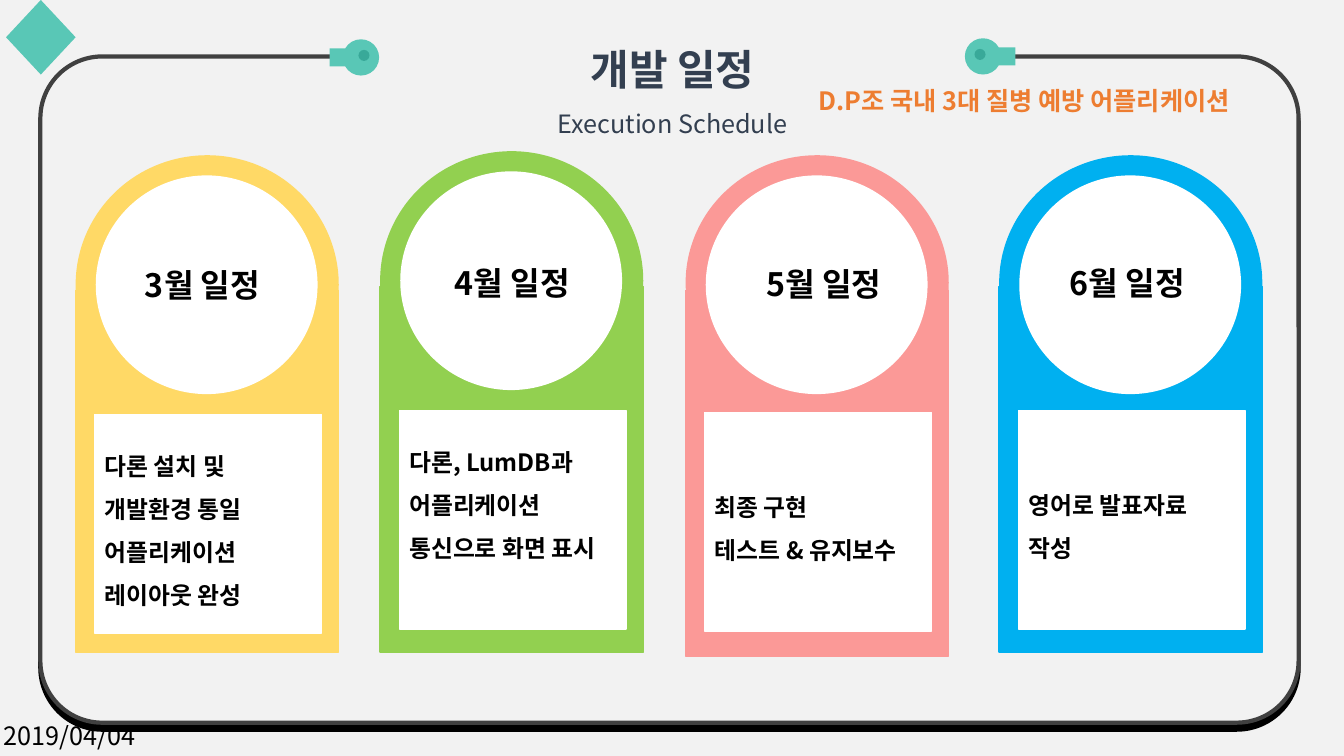
import math
from dataclasses import dataclass

import pptx
import pptx.dml.color
import pptx.enum.shapes
import pptx.enum.text
import pptx.oxml
import pptx.oxml.ns
import pptx.util

Inches = pptx.util.Inches
Pt = pptx.util.Pt
MSO = pptx.enum.shapes.MSO_SHAPE
ALIGN = pptx.enum.text.PP_ALIGN
ANCHOR = pptx.enum.text.MSO_ANCHOR


@dataclass(frozen=True)
class Theme:
    font: str = "Noto Sans CJK KR"
    back: str = "F2F2F2"
    frame: str = "404040"
    title: str = "333F50"
    accent: str = "ED7D31"
    teal: str = "59C7B6"
    teal_dark: str = "39A999"
    white: str = "FFFFFF"
    black: str = "000000"
    title_size: int = 30
    sub_size: int = 18
    month_size: int = 23
    card_size: int = 17


@dataclass(frozen=True)
class Month:
    """One pillar: left edge, tops of its parts, colour and wording."""
    left: float
    arch_top: float
    arch_height: float
    body_top: float
    body_bottom: float
    card_top: float
    label_left: float
    label_top: float
    color: str
    label: str
    tasks: tuple[str, ...]
    pad_bottom: float = 0.05


@dataclass(frozen=True)
class Pin:
    """A round-headed pin; side is 1 when the head points right."""
    tail: float
    x: float
    y: float
    side: int


T = Theme()
MONTHS = (
    Month(0.75, 1.54, 2.57, 2.88, 6.47, 4.11, 0.85, 2.58, "FFD966", "3월 일정",
          ("다론 설치 및 개발환경 통일", "어플리케이션 레이아웃 완성")),
    Month(3.77, 1.5, 2.57, 2.84, 6.47, 4.07, 3.92, 2.56, "92D050", "4월 일정",
          ("다론, LumDB과", "어플리케이션 통신으로 화면 표시"), 0.48),
    Month(6.8, 1.54, 2.53, 2.88, 6.51, 4.09, 7.01, 2.57, "FB9997", "5월 일정",
          ("최종 구현", "테스트 & 유지보수")),
    Month(9.91, 1.54, 2.53, 2.84, 6.47, 4.07, 10.02, 2.56, "00B0F0", "6월 일정",
          ("영어로 발표자료 작성",)),
)
PINS = (Pin(10.07, 9.75, 0.56, -1), Pin(3.27, 3.58, 0.57, 1))


def rgb(color: str):
    return pptx.dml.color.RGBColor.from_string(color)


def paint(sp, fill: str, line: str | None = None, width: float = 1) -> None:
    sp.shadow.inherit = False
    sp.fill.solid()
    sp.fill.fore_color.rgb = rgb(fill)
    if line:
        sp.line.color.rgb = rgb(line)
        sp.line.width = Pt(width)
    else:
        sp.line.fill.background()


def add_shape(shapes, kind, left: float, top: float, width: float, height: float,
              fill: str, line: str | None = None, width_pt: float = 1):
    sp = shapes.add_shape(kind, Inches(left), Inches(top), Inches(width), Inches(height))
    paint(sp, fill, line, width_pt)
    return sp


def write(p, text: str, size: int, color: str, bold: bool = True,
          align=ALIGN.LEFT, spacing: float = 1.0) -> None:
    p.text = text
    p.alignment = align
    p.line_spacing = spacing
    p.font.size = Pt(size)
    p.font.bold = bold
    p.font.color.rgb = rgb(color)
    p.font.name = T.font
    # Korean glyphs take the East Asian typeface
    props = p._p.pPr.find(pptx.oxml.ns.qn("a:defRPr"))
    ea = pptx.oxml.parse_xml(f'<a:ea {pptx.oxml.ns.nsdecls("a")} typeface="{T.font}"/>')
    props.find(pptx.oxml.ns.qn("a:latin")).addnext(ea)


def add_text(shapes, left: float, top: float, width: float, height: float, text: str,
             size: int, color: str, bold: bool = True, align=ALIGN.LEFT,
             wrap: bool = False) -> None:
    tf = shapes.add_textbox(Inches(left), Inches(top), Inches(width), Inches(height)).text_frame
    tf.word_wrap = wrap
    write(tf.paragraphs[0], text, size, color, bold, align)


def add_frame(shapes) -> None:
    sp = add_shape(shapes, MSO.ROUNDED_RECTANGLE, 0.4, 0.56, 12.48, 6.61, T.back, T.frame, 3)
    sp.adjustments[0] = 0.093
    # Hard shadow straight below
    effects = sp._element.spPr.find(pptx.oxml.ns.qn("a:effectLst"))
    effects.append(pptx.oxml.parse_xml(
        f'<a:outerShdw {pptx.oxml.ns.nsdecls("a")} blurRad="0" dist="{Pt(5)}" dir="5400000" '
        f'algn="t" rotWithShape="0"><a:srgbClr val="{T.black}"/></a:outerShdw>'))


def add_title(shapes) -> None:
    tf = add_shape(shapes, MSO.RECTANGLE, 3.32, 0.13, 6.7, 1.31, T.back).text_frame
    tf.word_wrap = True
    tf.vertical_anchor = ANCHOR.TOP
    write(tf.paragraphs[0], "개발 일정", T.title_size, T.title, True, ALIGN.CENTER, 1.5)
    write(tf.add_paragraph(), "Execution Schedule", T.sub_size, T.title, False,
          ALIGN.CENTER, 1.5)


def add_pin(shapes, pin: Pin) -> None:
    group = shapes.add_group_shape().shapes
    radius, neck, eye = 0.18, 0.09, 0.055
    # Head arc from the upper neck corner round to the lower one
    arc = [(Inches(pin.x + pin.side * radius * math.cos(math.radians(a))),
            Inches(pin.y + radius * math.sin(math.radians(a))))
           for a in range(-150, 151, 15)]
    fb = group.build_freeform(Inches(pin.tail), Inches(pin.y - neck))
    fb.add_line_segments(arc + [(Inches(pin.tail), Inches(pin.y + neck))], close=True)
    paint(fb.convert_to_shape(), T.teal)
    eye_x = pin.x + pin.side * 0.03
    add_shape(group, MSO.OVAL, eye_x - eye, pin.y - 0.02 - eye, 2 * eye, 2 * eye, T.teal_dark)


def add_month(shapes, m: Month) -> None:
    # Arch, body and white disc
    add_shape(shapes, MSO.RECTANGLE, m.left, m.body_top, 2.61, m.body_bottom - m.body_top,
              m.color, m.color)
    add_shape(shapes, MSO.OVAL, m.left, m.arch_top, 2.61, m.arch_height, m.color)
    add_shape(shapes, MSO.OVAL, m.left + 0.2, m.arch_top + 0.2, 2.2, 2.17, T.white)
    add_text(shapes, m.label_left, m.label_top, 2.32, 0.49, m.label, T.month_size, T.black,
             align=ALIGN.CENTER, wrap=True)
    # Task card
    tf = add_shape(shapes, MSO.RECTANGLE, m.left + 0.19, m.card_top, 2.25, 2.17,
                   T.white, T.white).text_frame
    tf.word_wrap = True
    tf.vertical_anchor = ANCHOR.MIDDLE
    tf.margin_bottom = Inches(m.pad_bottom)
    for i, task in enumerate(m.tasks):
        p = tf.add_paragraph() if i else tf.paragraphs[0]
        write(p, task, T.card_size, T.black, spacing=1.5)


def main() -> None:
    prs = pptx.Presentation()
    prs.slide_width, prs.slide_height = Inches(13.33), Inches(7.5)
    s = prs.slides.add_slide(prs.slide_layouts[6])
    s.background.fill.solid()
    s.background.fill.fore_color.rgb = rgb(T.back)

    # Frame, heading and ornaments
    add_frame(s.shapes)
    add_title(s.shapes)
    for pin in PINS:
        add_pin(s.shapes, pin)
    add_shape(s.shapes, MSO.DIAMOND, 0.06, 0, 0.69, 0.74, T.teal)

    # Monthly schedule
    for month in MONTHS:
        add_month(s.shapes, month)

    # Project name and date
    add_text(s.shapes, 8.02, 0.8, 4.68, 0.4, "D.P조 국내 3대 질병 예방 어플리케이션",
             T.sub_size, T.accent)
    add_text(s.shapes, -0.06, 7.1, 1.51, 0.4, "2019/04/04", T.sub_size, T.black, False)
    prs.save("out.pptx")


if __name__ == "__main__":
    main()
